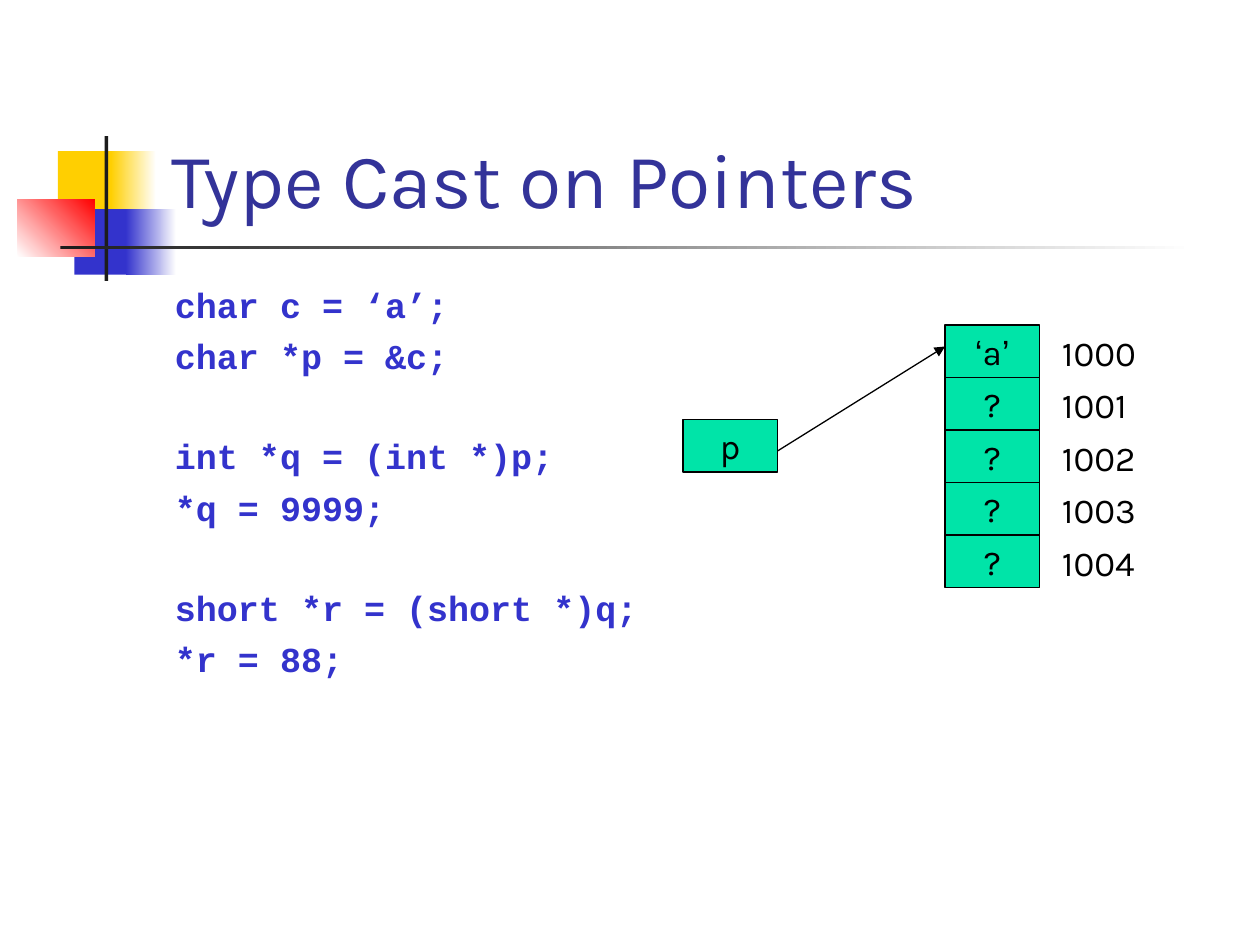
from pptx import Presentation
from pptx.dml.color import RGBColor
from pptx.enum.shapes import MSO_CONNECTOR, MSO_SHAPE
from pptx.enum.text import MSO_ANCHOR, MSO_AUTO_SIZE, PP_ALIGN
from pptx.oxml.ns import qn
from pptx.util import Inches, Pt
from lxml.etree import SubElement

WHITE = RGBColor(0xFF, 0xFF, 0xFF)
BLACK = RGBColor(0x00, 0x00, 0x00)
YELLOW = RGBColor(0xFF, 0xCF, 0x01)
BLUE = RGBColor(0x33, 0x33, 0xCC)
RED = RGBColor(0xFF, 0x00, 0x00)
DARK = RGBColor(0x1C, 0x1C, 0x1C)
NAVY = RGBColor(0x33, 0x33, 0x99)
GREEN = RGBColor(0x00, 0xE4, 0xA8)


def write(p, text, size=20, font="Karla", color=BLACK, bold=False):
    r = p.add_run()
    r.text = text
    r.font.size = Pt(size)
    r.font.name = font
    r.font.color.rgb = color
    r.font.bold = bold


def add_rect(x, y, w, h, color, end=None, angle=0):
    sp = s.shapes.add_shape(MSO_SHAPE.RECTANGLE, Inches(x), Inches(y), Inches(w), Inches(h))
    sp.shadow.inherit = False
    sp.line.fill.background()
    if end is None:
        sp.fill.solid()
        sp.fill.fore_color.rgb = color
    else:
        sp.fill.gradient()
        sp.fill.gradient_angle = angle
        for stop, rgb, pos in zip(sp.fill.gradient_stops, (color, end), (0, 1)):
            stop.color.rgb = rgb
            stop.position = pos
    return sp


prs = Presentation()
prs.slide_width, prs.slide_height = Inches(10), Inches(7.5)
s = prs.slides.add_slide(prs.slide_layouts[5])

# Corner decoration and rule under the title
for args in (
    (0.46, 1.2, 0.48, 0.52, YELLOW),
    (0.88, 1.2, 0.36, 0.52, YELLOW, WHITE),
    (0.59, 1.66, 0.46, 0.52, BLUE),
    (1, 1.66, 0.4, 0.52, BLUE, WHITE),
    (0.14, 1.58, 0.61, 0.46, WHITE, RED, 45),
    (0.83, 1.08, 0.03, 1.15, DARK),
    (0.48, 1.95, 9, 0.03, DARK, WHITE),
):
    add_rect(*args)

# Title
title = s.shapes.title
title.left, title.top, title.width, title.height = (Inches(v) for v in (1.26, 0.23, 8.52, 1.6))
tf = title.text_frame
tf.auto_size = MSO_AUTO_SIZE.NONE
tf.vertical_anchor = MSO_ANCHOR.BOTTOM
tf.paragraphs[0].alignment = PP_ALIGN.LEFT
write(tf.paragraphs[0], "Type Cast on Pointers", size=44, color=NAVY)

# Code, with a wider gap before each new group
groups = (
    ("char c = ‘a’;", "char *p = &c;"),
    ("int *q = (int *)p;", "*q = 9999;"),
    ("short *r = (short *)q;", "*r = 88;"),
)
tf = s.shapes.add_textbox(Inches(1.29), Inches(2.2), Inches(8.5), Inches(4.5)).text_frame
tf.word_wrap = True
p = tf.paragraphs[0]
for g, group in enumerate(groups):
    for i, code in enumerate(group):
        if g or i:
            p = tf.add_paragraph()
        p.space_before = Pt(33.3 if g and i == 0 else 5.3)
        write(p, code, font="Courier New", color=BLUE, bold=True)

# Memory cells and the pointer box
CELL_W, CELL_H = 0.75, 5 / 12
MEM_X, MEM_Y = 7.5, 2.58
quoted_a = (("‘", "Arial"), ("a", "Karla"), ("’", "Arial"))
unknown = (("?", "Karla"),)
boxes = [(MEM_X, MEM_Y + i * CELL_H, runs) for i, runs in enumerate([quoted_a] + [unknown] * 4)]
boxes.append((5.42, 3.33, (("p", "Karla"),)))
for x, y, runs in boxes:
    sp = add_rect(x, y, CELL_W, CELL_H, GREEN)
    sp.line.color.rgb = BLACK
    sp.line.width = Pt(0.75)
    tf = sp.text_frame
    tf.word_wrap = False
    tf.vertical_anchor = MSO_ANCHOR.MIDDLE
    tf.paragraphs[0].alignment = PP_ALIGN.CENTER
    for text, font in runs:
        write(tf.paragraphs[0], text, font=font)

# Addresses
for i in range(5):
    tb = s.shapes.add_textbox(Inches(8.33), Inches(MEM_Y + i * CELL_H), Inches(1.42), Inches(0.43))
    tb.text_frame.word_wrap = True
    write(tb.text_frame.paragraphs[0], str(1000 + i))

# Arrow from p to the first cell
arrow = s.shapes.add_connector(
    MSO_CONNECTOR.STRAIGHT, Inches(6.17), Inches(3.58), Inches(MEM_X), Inches(2.75))
arrow.line.color.rgb = BLACK
arrow.line.width = Pt(0.75)
SubElement(arrow.line._get_or_add_ln(), qn("a:tailEnd"), type="triangle")
SubElement(arrow._element.spPr, qn("a:effectLst"))

prs.save("out.pptx")
